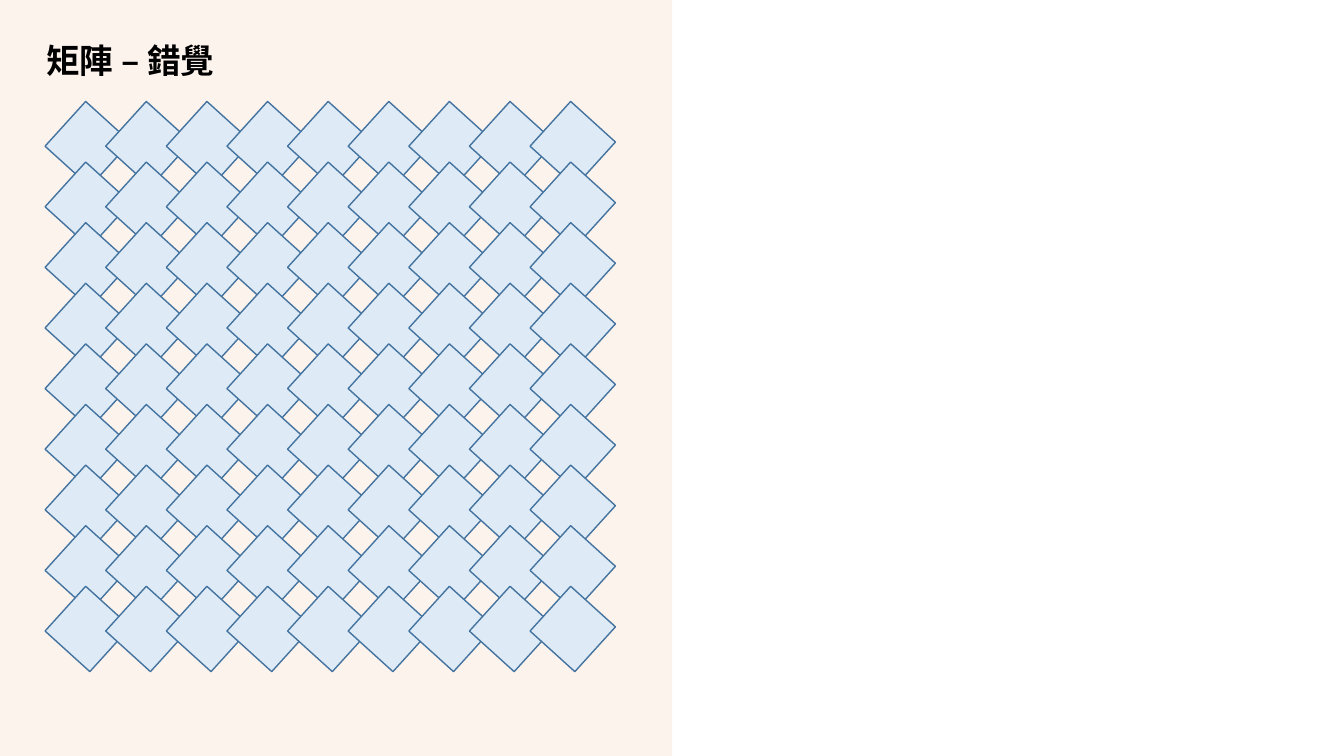
from itertools import product

from lxml.etree import SubElement
from pptx import Presentation
from pptx.dml.color import RGBColor
from pptx.enum.shapes import MSO_CONNECTOR, MSO_SHAPE
from pptx.enum.text import MSO_ANCHOR, PP_ALIGN
from pptx.oxml.ns import qn
from pptx.util import Inches, Pt

WIDTH, HEIGHT = 13.33, 7.5
FONT = "Noto Sans CJK SC"
COUNT = 9
TILE = 0.6
ANGLE = 132.2
FIRST_X, LAST_X = 0.57, 5.38
FIRST_Y, LAST_Y = 1.13, 5.94


def paint(fmt, color, alpha=100):
    fmt.solid()
    fmt.fore_color.rgb = RGBColor.from_string(color)
    if alpha < 100:
        tint = fmt.fore_color._xFill.find(qn("a:srgbClr"))
        SubElement(tint, qn("a:alpha")).set("val", str(alpha * 1000))


def add_rect(s, x, y, w, h, fill, alpha=100, line=None, angle=0):
    sp = s.shapes.add_shape(
        MSO_SHAPE.RECTANGLE, Inches(x), Inches(y), Inches(w), Inches(h))
    sp.shadow.inherit = False
    sp.rotation = angle
    paint(sp.fill, fill, alpha)
    if line:
        paint(sp.line.fill, line)
        sp.line.width = Pt(1)
    else:
        sp.line.fill.background()
    return sp


def add_divider(s, x):
    line = s.shapes.add_connector(
        MSO_CONNECTOR.STRAIGHT, Inches(x), Inches(HEIGHT), Inches(x), 0)
    paint(line.line.fill, "FBE5D6", 50)
    line.line.width = Pt(0.25)
    SubElement(line.element.spPr, qn("a:effectLst"))
    return line


def set_title(s, text):
    title = s.shapes.title
    title.left, title.top = Inches(0.36), Inches(0.4)
    title.width, title.height = Inches(5.95), Inches(0.44)
    tf = title.text_frame
    tf.text = text
    tf.word_wrap = False
    tf.vertical_anchor = MSO_ANCHOR.MIDDLE
    p = tf.paragraphs[0]
    p.alignment = PP_ALIGN.LEFT
    p.line_spacing = 0.9
    p.font.size = Pt(24)
    p.font.bold = True
    p.font.name = FONT
    paint(p.font.fill, "000000")
    props = p._p.pPr.find(qn("a:defRPr"))
    SubElement(props, qn("a:ea")).set("typeface", FONT)
    return title


def add_tiles(s):
    step_x = (LAST_X - FIRST_X) / (COUNT - 1)
    step_y = (LAST_Y - FIRST_Y) / (COUNT - 1)
    for row, col in product(range(COUNT), repeat=2):
        add_rect(s, FIRST_X + col * step_x, FIRST_Y + row * step_y,
                 TILE, TILE, "DEEBF7", line="43739E", angle=ANGLE)


def main():
    prs = Presentation()
    prs.slide_width, prs.slide_height = Inches(WIDTH), Inches(HEIGHT)
    s = prs.slides.add_slide(prs.slide_layouts[5])
    add_rect(s, 0, 0, WIDTH / 2, HEIGHT, "F4B183", alpha=14)
    divider = add_divider(s, WIDTH / 2)
    title = set_title(s, "矩陣 – 錯覺")
    divider.element.addnext(title.element)
    add_tiles(s)
    prs.save("out.pptx")


if __name__ == "__main__":
    main()
